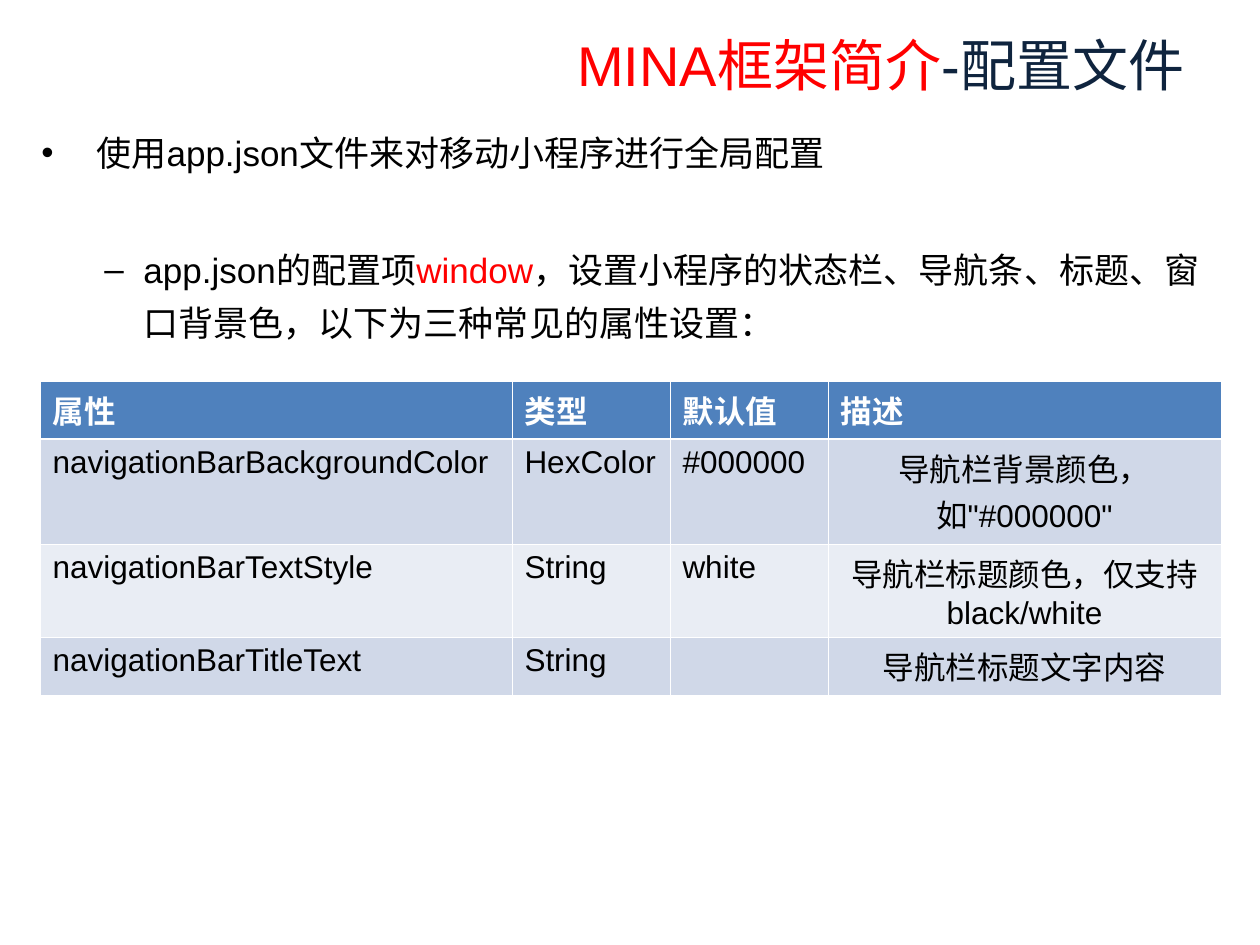
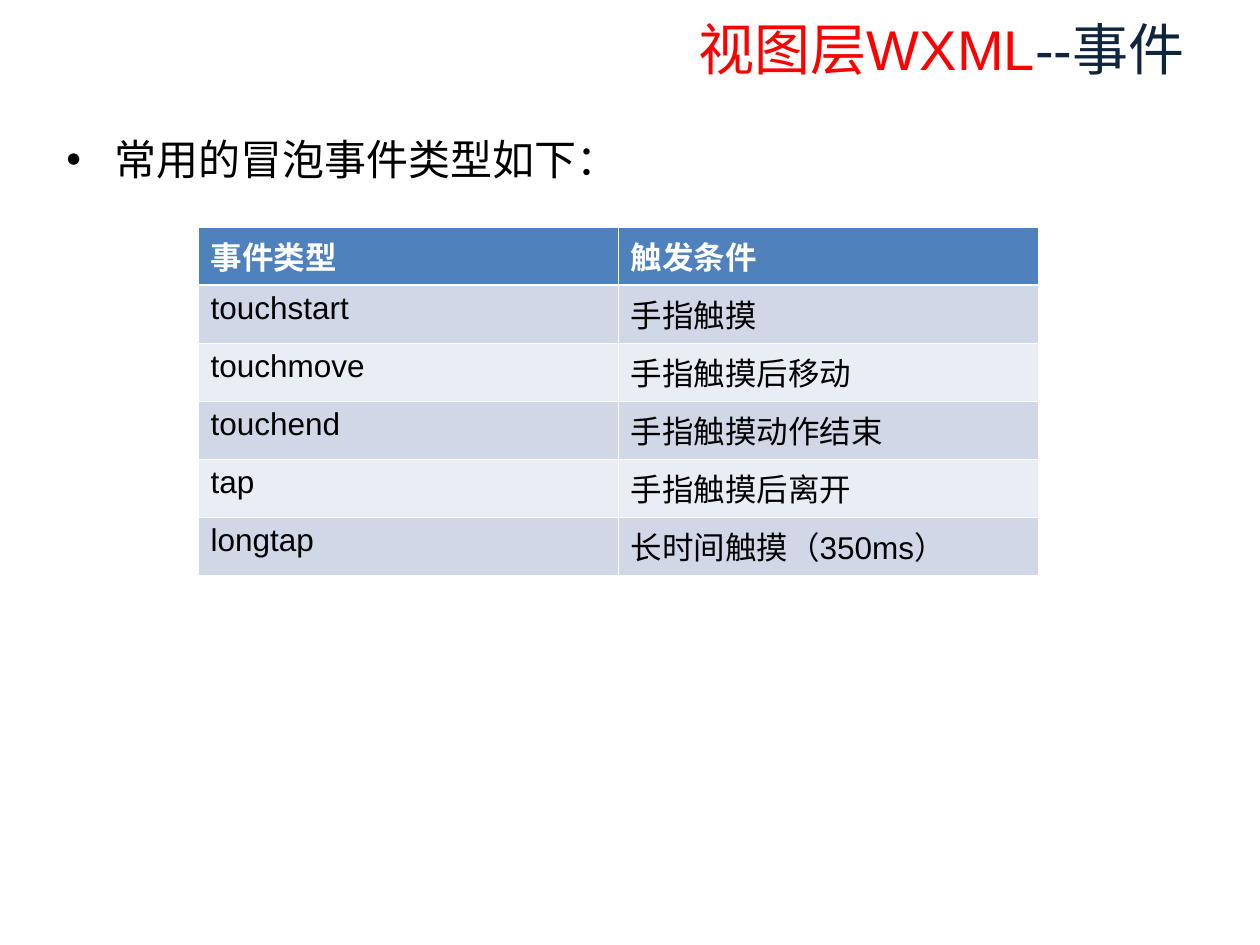
"""Build two slides about app configuration and bubbling events."""
from lxml.etree import SubElement
from pptx import Presentation
from pptx.dml.color import RGBColor
from pptx.enum.text import MSO_ANCHOR, PP_ALIGN
from pptx.oxml.ns import qn
from pptx.util import Pt

SCALE = 914400 / 126
FONT = "Arial"
RED = RGBColor(0xFF, 0x00, 0x00)
NAVY = RGBColor(0x0F, 0x24, 0x3E)
BLACK = RGBColor(0x00, 0x00, 0x00)
WHITE = RGBColor(0xFF, 0xFF, 0xFF)
HEADER_BLUE = RGBColor(0x4F, 0x81, 0xBD)
BAND_DARK = RGBColor(0xD0, 0xD8, 0xE8)
BAND_LIGHT = RGBColor(0xE9, 0xED, 0xF4)


def px(length):
    """Convert pixels to EMU."""
    return round(length * SCALE)


def write_runs(paragraph, parts, size, bold=False):
    """Add coloured runs to a paragraph."""
    for text, color in parts:
        run = paragraph.add_run()
        run.text = text
        run.font.name = FONT
        run.font.size = Pt(size)
        run.font.bold = bold
        run.font.color.rgb = color
        run._r.get_or_add_rPr().set("lang", "zh-CN")


PAGES = [
    {
        "title": [("MINA框架简介", RED), ("-配置文件", NAVY)],
        "title_box": (312, 33, 885, 63),
        "body_left": 29,
        "body_size": 20,
        "bullets": [
            ("•", 55, 55, 2.5, [("使用app.json文件来对移动小程序进行全局配置", BLACK)]),
            ("–", 102, 39, 37, [
                ("app.json的配置项", BLACK),
                ("window", RED),
                ("，设置小程序的状态栏、导航条、标题、窗口背景色，以下为三种常见的属性设置：", BLACK),
            ]),
        ],
        "table_at": (40, 381),
        "columns": [472, 158, 158, 393],
        "row_heights": [58, 105, 93, 58],
        "centered_column": 3,
        "rows": [
            ["属性", "类型", "默认值", "描述"],
            ["navigationBarBackgroundColor", "HexColor", "#000000", "导航栏背景颜色，如\"#000000\""],
            ["navigationBarTextStyle", "String", "white", "导航栏标题颜色，仅支持 black/white"],
            ["navigationBarTitleText", "String", "", "导航栏标题文字内容"],
        ],
    },
    {
        "title": [("视图层WXML", RED), ("--事件", NAVY)],
        "title_box": (312, 0, 885, 96),
        "body_left": 54,
        "body_size": 24,
        "bullets": [("•", 48, 48, 3, [("常用的冒泡事件类型如下：", BLACK)])],
        "table_at": (198, 227),
        "columns": [420, 420],
        "row_heights": [58] * 6,
        "centered_column": None,
        "rows": [
            ["事件类型", "触发条件"],
            ["touchstart", "手指触摸"],
            ["touchmove", "手指触摸后移动"],
            ["touchend", "手指触摸动作结束"],
            ["tap", "手指触摸后离开"],
            ["longtap", "长时间触摸（350ms）"],
        ],
    },
]

presentation = Presentation()
presentation.slide_width = px(1260)
presentation.slide_height = px(945)

for page in PAGES:
    slide = presentation.slides.add_slide(presentation.slide_layouts[6])

    title_frame = slide.shapes.add_textbox(*map(px, page["title_box"])).text_frame
    title_frame.word_wrap = True
    title_frame.vertical_anchor = MSO_ANCHOR.MIDDLE
    title_frame.paragraphs[0].alignment = PP_ALIGN.RIGHT
    write_runs(title_frame.paragraphs[0], page["title"], 32)

    body = slide.shapes.add_textbox(px(page["body_left"]), px(115), px(1201), px(745))
    body.text_frame.word_wrap = True
    for index, (mark, margin, hanging, space, parts) in enumerate(page["bullets"]):
        paragraph = body.text_frame.paragraphs[0] if index == 0 else body.text_frame.add_paragraph()
        paragraph.level = index
        paragraph.line_spacing = Pt(page["body_size"] * 1.5)
        paragraph.space_before = Pt(space)
        properties = paragraph._p.get_or_add_pPr()
        properties.set("marL", str(px(margin)))
        properties.set("indent", str(-px(hanging)))
        SubElement(properties, qn("a:buFont"), typeface=FONT)
        SubElement(properties, qn("a:buChar"), char=mark)
        write_runs(paragraph, parts, page["body_size"])

    rows, columns, heights = page["rows"], page["columns"], page["row_heights"]
    left, top = page["table_at"]
    table = slide.shapes.add_table(
        len(rows), len(columns), px(left), px(top), px(sum(columns)), px(sum(heights))
    ).table
    for column, width in zip(table.columns, columns):
        column.width = px(width)
    for row_index, values in enumerate(rows):
        table.rows[row_index].height = px(heights[row_index])
        is_header = row_index == 0
        band = BAND_DARK if row_index % 2 else BAND_LIGHT
        for column_index, value in enumerate(values):
            cell = table.cell(row_index, column_index)
            cell_properties = cell._tc.get_or_add_tcPr()
            for side in ("lnL", "lnR", "lnT", "lnB"):
                thick = (row_index, side) in ((0, "lnB"), (1, "lnT"))
                border = SubElement(cell_properties, qn(f"a:{side}"), w=str(Pt(1.5 if thick else 0.45)))
                border_fill = SubElement(border, qn("a:solidFill"))
                SubElement(border_fill, qn("a:srgbClr"), val=str(WHITE))
            cell.fill.solid()
            cell.fill.fore_color.rgb = HEADER_BLUE if is_header else band
            paragraph = cell.text_frame.paragraphs[0]
            if not is_header and column_index == page["centered_column"]:
                paragraph.alignment = PP_ALIGN.CENTER
            if value:
                write_runs(paragraph, [(value, WHITE if is_header else BLACK)], 18, is_header)

presentation.save("out.pptx")
